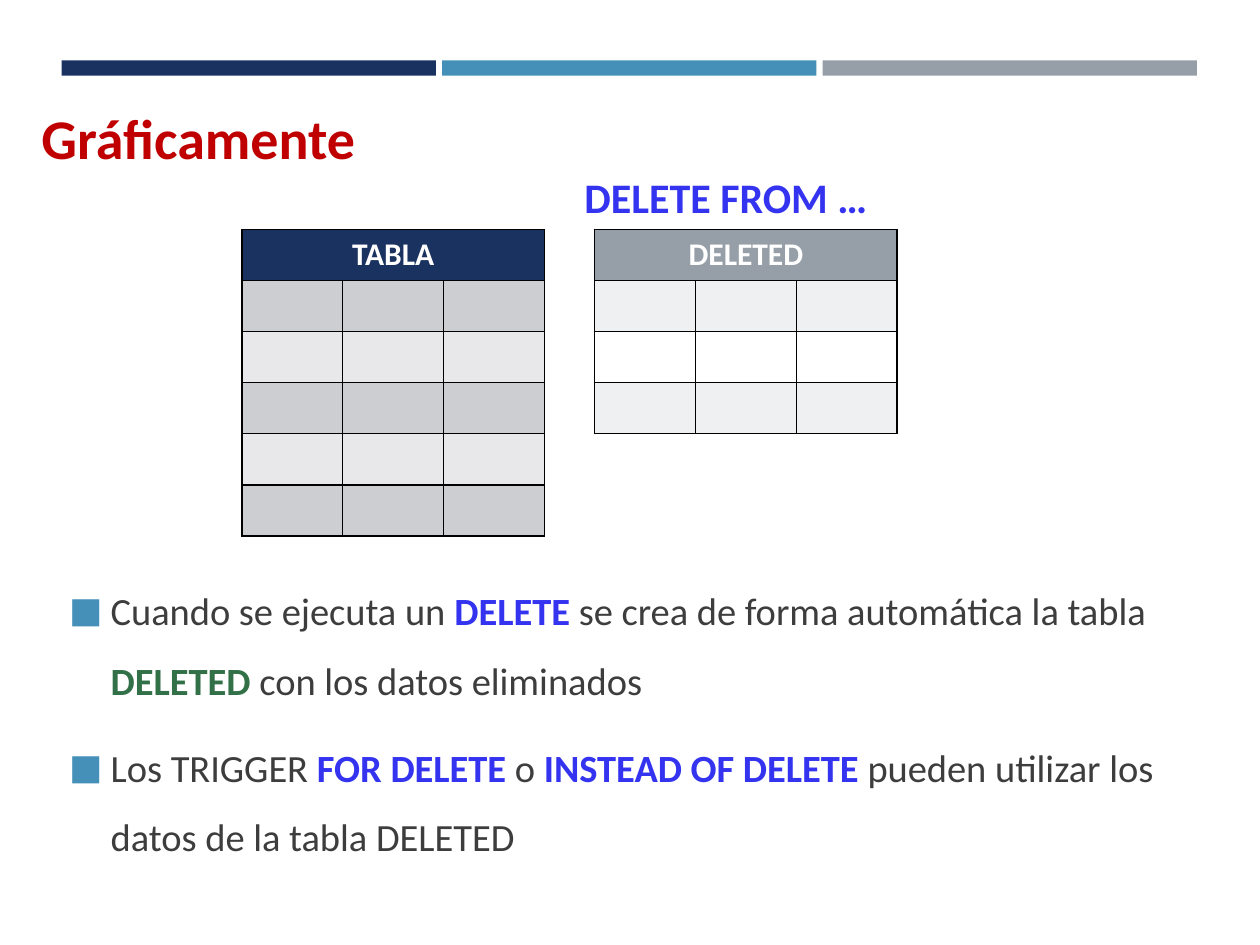
from lxml.etree import SubElement
from pptx import Presentation
from pptx.dml.color import RGBColor
from pptx.enum.shapes import MSO_SHAPE
from pptx.enum.text import MSO_ANCHOR, MSO_AUTO_SIZE, PP_ALIGN
from pptx.oxml.ns import qn
from pptx.util import Inches, Pt

THEME = {
    "font": "Calibri",
    "navy": "1A3260", "blue": "4590B8", "gray": "969FA7",
    "text": "3D3D3D", "keyword": "3434F0", "result": "327047",
    "title": "C00000", "white": "FFFFFF", "border": "000000",
    "title_size": 32, "statement_size": 24, "body_size": 22, "table_size": 18,
}

HEADINGS = [
    ("Gráficamente", (0.23, 0.77, 3.09, 0.64), "title_size", "title"),
    ("DELETE FROM …", (4.54, 1.31, 3.1, 0.5), "statement_size", "keyword"),
]
TABLES = [
    {"header": "TABLA", "left": 1.92, "rows": 5, "color": "navy",
     "bands": ("CDCED2", "E8E8EA")},
    {"header": "DELETED", "left": 4.72, "rows": 3, "color": "gray",
     "bands": ("EFF0F1", "FFFFFF")},
]
BULLETS = [
    [("Cuando se ejecuta un ", "text"), ("DELETE ", "keyword"),
     ("se crea de forma automática la tabla ", "text"),
     ("DELETED", "result"), (" con los datos eliminados", "text")],
    [("Los TRIGGER ", "text"), ("FOR DELETE ", "keyword"), ("o ", "text"),
     ("INSTEAD OF DELETE ", "keyword"),
     ("pueden utilizar los datos de la tabla DELETED", "text")],
]
BAR_COLORS = ["navy", "blue", "gray"]
BAR_LEFT, BAR_TOP, BAR_WIDTH, BAR_HEIGHT, BAR_GAP = 0.49, 0.48, 2.97, 0.12, 0.05
TABLE_TOP, COLUMN_COUNT, COLUMN_WIDTH, ROW_HEIGHT = 1.82, 3, 0.8, 0.405
BODY_BOX = (0.45, 4.43, 9.25, 3.07)
BODY_INDENT = 0.33


def apply_format(target, values):
    for name, value in values.items():
        setattr(target, name, value)


def paint(fill, color):
    fill.solid()
    fill.fore_color.rgb = RGBColor.from_string(color)


def add_run(paragraph, words, size, color, bold):
    run = paragraph.add_run()
    run.text = words
    apply_format(run.font, {"name": THEME["font"], "size": Pt(THEME[size]), "bold": bold})
    run.font.color.rgb = RGBColor.from_string(THEME[color])


def add_bars(slide):
    for index, color in enumerate(BAR_COLORS):
        left = BAR_LEFT + index * (BAR_WIDTH + BAR_GAP)
        bar = slide.shapes.add_shape(
            MSO_SHAPE.RECTANGLE,
            *map(Inches, (left, BAR_TOP, BAR_WIDTH, BAR_HEIGHT)))
        bar.shadow.inherit = False
        paint(bar.fill, THEME[color])
        bar.line.fill.background()


def add_heading(slide, words, box, size, color):
    frame = slide.shapes.add_textbox(*map(Inches, box)).text_frame
    apply_format(frame, {"word_wrap": False, "auto_size": MSO_AUTO_SIZE.SHAPE_TO_FIT_TEXT})
    add_run(frame.paragraphs[0], words, size, color, True)


def style_cell(cell, color):
    properties = cell._tc.get_or_add_tcPr()
    for side in ("a:lnL", "a:lnR", "a:lnT", "a:lnB"):
        border = SubElement(properties, qn(side), w=str(Pt(1)))
        border_fill = SubElement(border, qn("a:solidFill"))
        SubElement(border_fill, qn("a:srgbClr"), val=THEME["border"])
    paint(cell.fill, color)


def add_data_table(slide, content):
    row_count = content["rows"] + 1
    table = slide.shapes.add_table(
        row_count, COLUMN_COUNT,
        *map(Inches, (content["left"], TABLE_TOP,
                      COLUMN_COUNT * COLUMN_WIDTH, row_count * ROW_HEIGHT))).table
    for row_index in range(row_count):
        band = content["bands"][(row_index - 1) % 2]
        color = THEME[content["color"]] if row_index == 0 else band
        for column_index in range(COLUMN_COUNT):
            style_cell(table.cell(row_index, column_index), color)
    header = table.cell(0, 0)
    header.merge(table.cell(0, COLUMN_COUNT - 1))
    header.vertical_anchor = MSO_ANCHOR.MIDDLE
    paragraph = header.text_frame.paragraphs[0]
    paragraph.alignment = PP_ALIGN.CENTER
    add_run(paragraph, content["header"], "table_size", "white", True)


def add_bullet_mark(paragraph):
    properties = paragraph._p.get_or_add_pPr()
    properties.set("marL", str(Inches(BODY_INDENT)))
    properties.set("indent", str(-Inches(BODY_INDENT)))
    mark_color = SubElement(properties, qn("a:buClr"))
    SubElement(mark_color, qn("a:srgbClr"), val=THEME["blue"])
    SubElement(properties, qn("a:buSzPct"), val="92000")
    SubElement(properties, qn("a:buFont"), typeface=THEME["font"])
    SubElement(properties, qn("a:buChar"), char="■")


def add_bullets(slide):
    frame = slide.shapes.add_textbox(*map(Inches, BODY_BOX)).text_frame
    frame.word_wrap = True
    for index, pieces in enumerate(BULLETS):
        paragraph = frame.add_paragraph() if index else frame.paragraphs[0]
        apply_format(paragraph, {
            "line_spacing": 1.5,
            "space_before": Pt(0.2 * THEME["body_size"]),
            "space_after": Pt(6),
        })
        add_bullet_mark(paragraph)
        for words, color in pieces:
            add_run(paragraph, words, "body_size", color, color != "text")


def main():
    deck = Presentation()
    apply_format(deck, {"slide_width": Inches(10), "slide_height": Inches(7.5)})
    slide = deck.slides.add_slide(deck.slide_layouts[6])
    add_bars(slide)
    for content in TABLES:
        add_data_table(slide, content)
    add_bullets(slide)
    for heading in HEADINGS:
        add_heading(slide, *heading)
    deck.save("out.pptx")


if __name__ == "__main__":
    main()
